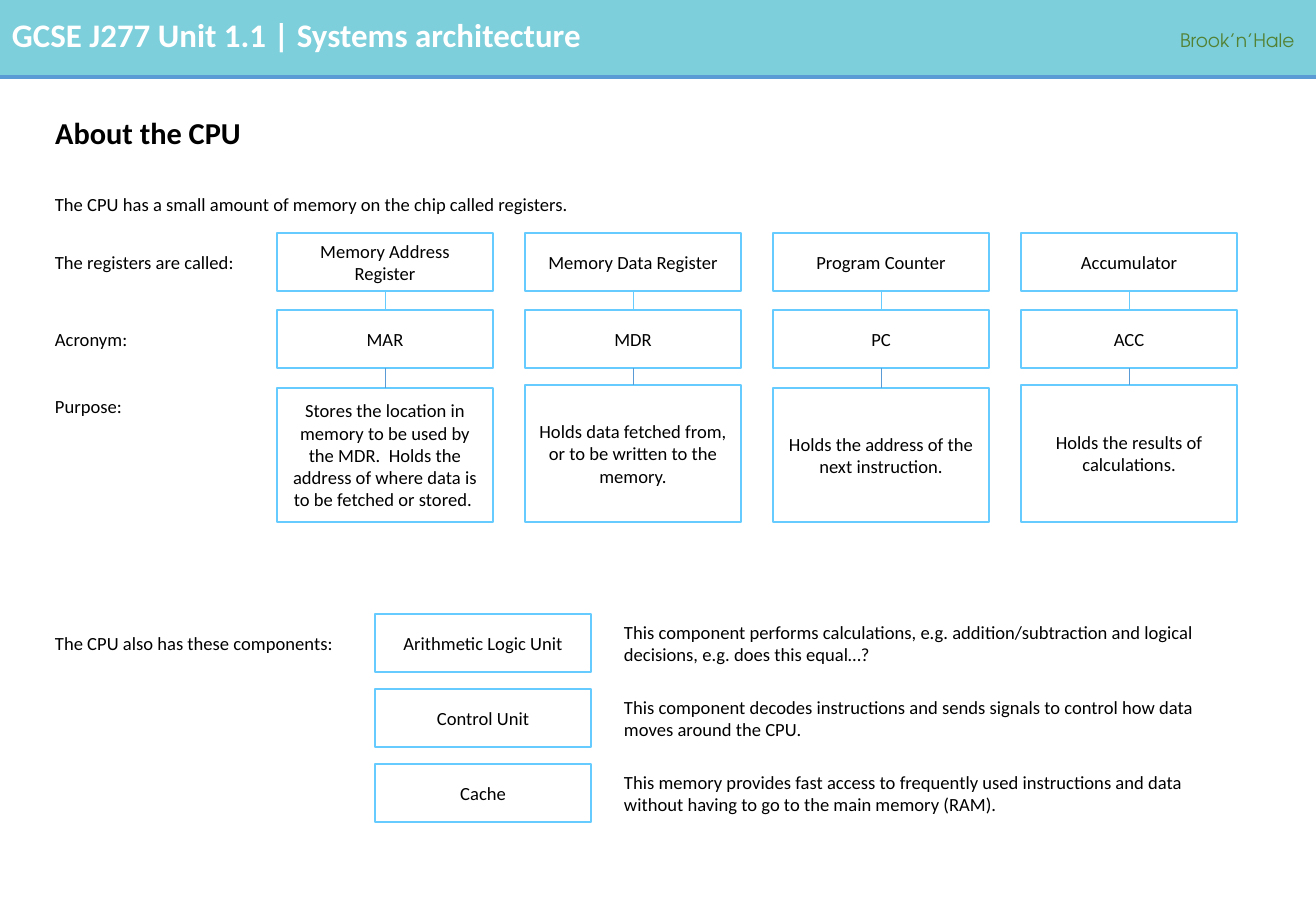
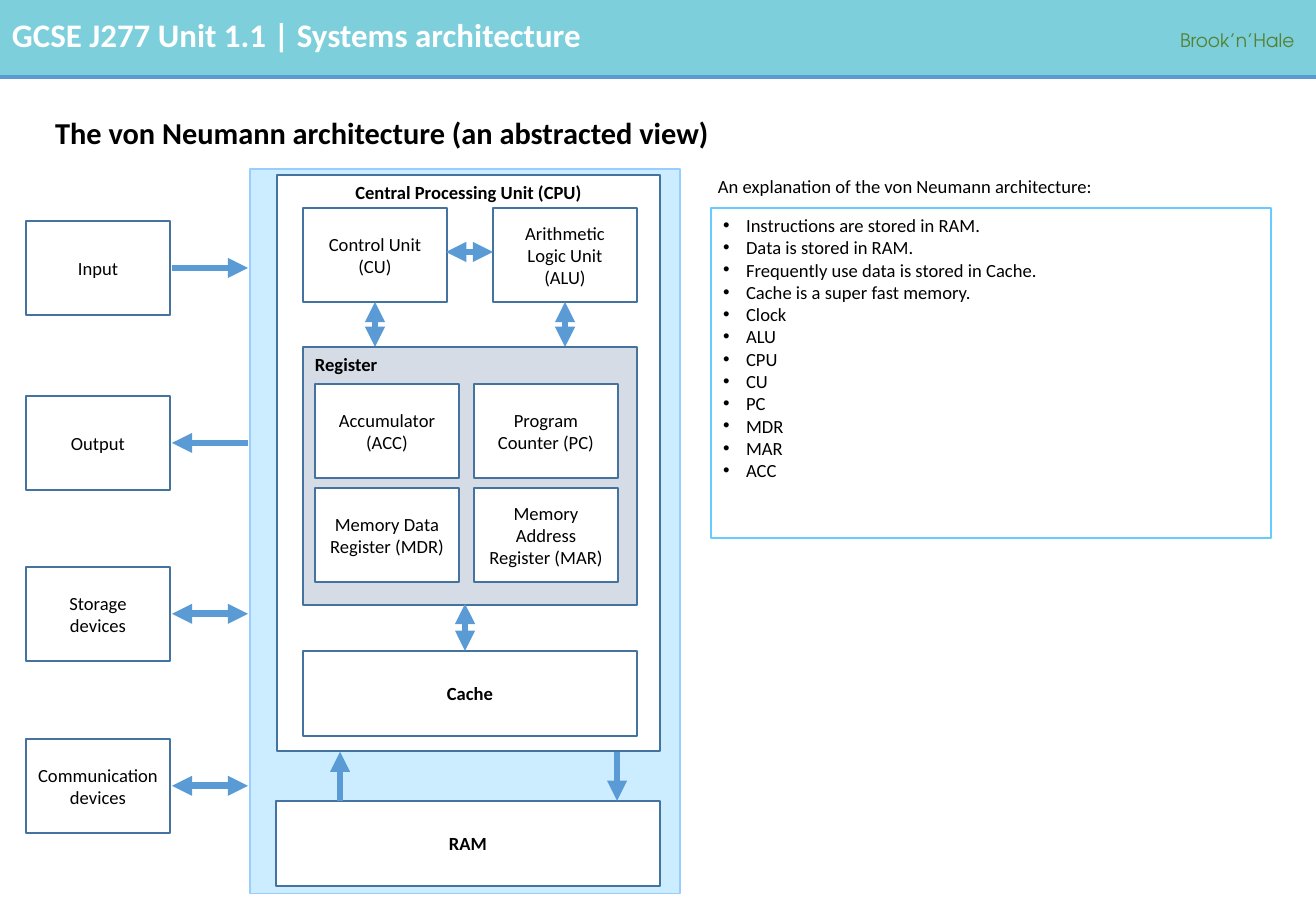
from lxml.etree import SubElement
from pptx import Presentation
from pptx.dml.color import RGBColor
from pptx.enum.shapes import MSO_CONNECTOR, MSO_SHAPE
from pptx.enum.text import MSO_ANCHOR, PP_ALIGN
from pptx.oxml.ns import qn
from pptx.util import Inches, Pt

SCALE = 914400 / 121.5
WHITE = RGBColor(0xFF, 0xFF, 0xFF)
BLACK = RGBColor(0, 0, 0)
TEAL = RGBColor(0x7C, 0xCF, 0xDB)
BLUE = RGBColor(0x5B, 0x9B, 0xD5)
SKY = RGBColor(0x66, 0xCC, 0xFF)
NAVY = RGBColor(0x43, 0x73, 0x9E)
PALE = RGBColor(0xCC, 0xEC, 0xFF)
EDGE = RGBColor(0x99, 0xCC, 0xFF)
GREY = RGBColor(0xD6, 0xDC, 0xE5)
GREEN = RGBColor(0x54, 0x82, 0x35)

REGISTERS = [
    ("Memory Address Register", "MAR", 388,
     "Stores the location in memory to be used by the MDR.  Holds the "
     "address of where data is to be fetched or stored. "),
    ("Memory Data Register", "MDR", 385,
     "Holds data fetched from, or to be written to the memory."),
    ("Program Counter", "PC", 388, "Holds the address of the next instruction."),
    ("Accumulator", "ACC", 385, "Holds the results of calculations."),
]
PARTS = [
    ("Arithmetic Logic Unit",
     "This component performs calculations, e.g. addition/subtraction and "
     "logical decisions, e.g. does this equal…?"),
    ("Control Unit",
     "This component decodes instructions and sends signals to control how "
     "data moves around the CPU."),
    ("Cache",
     "This memory provides fast access to frequently used instructions and "
     "data without having to go to the main memory (RAM)."),
]
DEVICES = [
    ("Input", 0, False, True),
    ("Output", 175, True, False),
    ("Storage\vdevices", 346, True, True),
    ("Communication devices", 518, True, True),
]
CELLS = [
    ("Accumulator (ACC)", "Program Counter (PC)"),
    ("Memory Data Register (MDR)", "Memory Address Register (MAR)"),
]
NOTES = [
    "Instructions are stored in RAM.", "Data is stored in RAM.",
    "Frequently use data is stored in Cache.", "Cache is a super fast memory.",
    "Clock", "ALU", "CPU", "CU", "PC", "MDR", "MAR", "ACC",
]


def px(*values):
    """Turn pixels into EMU."""
    return [round(value * SCALE) for value in values]


def write(frame, *lines, size=11, bold=False, color=BLACK, font="Calibri",
          align=PP_ALIGN.LEFT, anchor=MSO_ANCHOR.TOP, wrap=True,
          space=None, after=None, bullet=False):
    """Fill a text frame with one paragraph per line."""
    frame.word_wrap = wrap
    frame.vertical_anchor = anchor
    for index, line in enumerate(lines):
        para = frame.add_paragraph() if index else frame.paragraphs[0]
        para.text = line
        para.alignment = align
        if space:
            para.line_spacing = space
        if after:
            para.space_after = Pt(after)
        for run in para.runs:
            run.font.size = Pt(size)
            run.font.bold = bold
            run.font.name = font
            run.font.color.rgb = color
        if bullet:
            props = para._p.get_or_add_pPr()
            indent = px(23)[0]
            props.set("marL", str(indent))
            props.set("indent", str(-indent))
            SubElement(props, qn("a:buFont"), typeface="Arial")
            SubElement(props, qn("a:buChar"), char="•")


def label(slide, text, left, top, width, height=35, **style):
    """Add a text box."""
    area = slide.shapes.add_textbox(*px(left, top, width, height))
    write(area.text_frame, text, **style)
    return area


def box(slide, lines, left, top, width, height, fill=None, edge=NAVY,
        align=PP_ALIGN.CENTER, anchor=MSO_ANCHOR.MIDDLE, **style):
    """Add a rectangle that holds text."""
    shape = slide.shapes.add_shape(
        MSO_SHAPE.RECTANGLE, *px(left, top, width, height))
    shape.shadow.inherit = False
    if fill is None:
        shape.fill.background()
    else:
        shape.fill.solid()
        shape.fill.fore_color.rgb = fill
    if edge is None:
        shape.line.fill.background()
    else:
        shape.line.color.rgb = edge
        shape.line.width = Pt(1)
    write(shape.text_frame, *lines, align=align, anchor=anchor, **style)
    return shape


def line(slide, left, top, right, base, color=BLUE, width=4.0,
         head=False, tail=False):
    """Add a straight line with optional arrowheads."""
    link = slide.shapes.add_connector(
        MSO_CONNECTOR.STRAIGHT, *px(left, top, right, base))
    link.line.color.rgb = color
    link.line.width = Pt(width)
    props = link.element.spPr
    stroke = props.find(qn("a:ln"))
    for end, shown in (("a:headEnd", head), ("a:tailEnd", tail)):
        if shown:
            SubElement(stroke, qn(end), type="triangle")
    SubElement(props, qn("a:effectLst"))
    return link


def band(slide, layout):
    """Draw the top band and move it to the shared layout."""
    for holder in list(layout.placeholders)[1:]:
        holder.element.getparent().remove(holder.element)
    pieces = [
        box(slide, [], 0, 0, 1316, 77, fill=TEAL, edge=None),
        line(slide, 0, 77, 1316, 77, width=2.25),
        label(slide, "GCSE J277 Unit 1.1 | Systems architecture",
              0, 9, 1152, 52, size=19.5, bold=True, color=WHITE),
        label(slide, "Brook’n’Hale", 1168, 21, 148, font="TeX Gyre Adventor",
              color=GREEN, wrap=False, space=1.07, after=8),
    ]
    for piece in pieces:
        layout.shapes.element.append(piece.element)


def start(deck, layout, text):
    """Add a slide and set its title."""
    slide = deck.slides.add_slide(layout)
    title = slide.shapes.title
    title.left, title.top, title.width, title.height = px(43, 101, 1227, 68)
    write(title.text_frame, text, size=18, bold=True, space=0.9,
          anchor=MSO_ANCHOR.MIDDLE)
    return slide


def registers(slide, left, top):
    """Draw the register columns with their row labels."""
    for text, drop, width in (
            ("The CPU has a small amount of memory on the chip called registers.",
             0, 541),
            ("The registers are called:", 58, 205),
            ("Acronym:", 135, 98), ("Purpose:", 202, 92)):
        label(slide, text, left, top + drop, width, wrap=False)
    wide, high, base = 216, 58, top + 335
    name_top, short_top = top + 46, top + 123
    for index, (name, short, start_y, use) in enumerate(REGISTERS):
        x = left + 234 + 248 * index
        mid = x + wide / 2
        use_top = top + start_y - 187
        box(slide, [name], x, name_top, wide, high, edge=SKY)
        box(slide, [short], x, short_top, wide, high, edge=SKY)
        box(slide, [use], x, use_top, wide, base - use_top, edge=SKY)
        line(slide, mid, name_top + high, mid, short_top, SKY, 0.5)
        line(slide, mid, short_top + high, mid, use_top, BLUE, 0.5)


def parts(slide, left, top):
    """List the other CPU components with what they do."""
    label(slide, "The CPU also has these components:",
          left, top + 12, 304, wrap=False)
    for index, (name, use) in enumerate(PARTS):
        y = top + 75 * index
        box(slide, [name], left + 332, y, 216, 58, edge=SKY)
        label(slide, use, left + 569, y, 623, 58, anchor=MSO_ANCHOR.MIDDLE)


def system(slide, left, top):
    """Draw the CPU and RAM on their backdrop."""
    box(slide, [], left, top, 430, 725, fill=PALE, edge=EDGE)
    box(slide, ["Central Processing Unit (CPU)"], left + 27, top + 6, 383, 576,
        fill=WHITE, bold=True, anchor=MSO_ANCHOR.TOP)
    box(slide, ["RAM"], left + 26, top + 632, 384, 85, fill=WHITE, bold=True)
    line(slide, left + 367, top + 583, left + 367, top + 632, tail=True)
    line(slide, left + 90, top + 632, left + 90, top + 583, tail=True)
    inner = left + 53
    for name, x in (("Control Unit (CU)", inner),
                    ("Arithmetic Logic Unit (ALU)", inner + 190)):
        box(slide, [name], x, top + 39, 144, 94, fill=WHITE)
        line(slide, x + 72, top + 178, x + 72, top + 133, head=True, tail=True)
    line(slide, inner + 143, top + 83, inner + 190, top + 83,
         head=True, tail=True)
    box(slide, ["Register"], inner, top + 178, 334, 258, fill=GREY, bold=True,
        align=PP_ALIGN.LEFT, anchor=MSO_ANCHOR.TOP)
    for row, names in enumerate(CELLS):
        for col, name in enumerate(names):
            box(slide, [name], inner + 12 + 159 * col, top + 215 + 104 * row,
                144, 94, fill=WHITE)
    box(slide, ["Cache"], inner, top + 482, 334, 85, fill=WHITE, bold=True)
    line(slide, left + 215, top + 482, left + 215, top + 435,
         head=True, tail=True)


def devices(slide, left, top):
    """Draw the outer devices and their arrows."""
    for name, drop, head, tail in DEVICES:
        y = top + drop
        box(slide, [name], left, y, 144, 94, fill=WHITE)
        line(slide, left + 146, y + 47, left + 222, y + 47,
             head=head, tail=tail)


def notes(slide, left, top):
    """Draw the explanation and its bullet list."""
    label(slide, "An explanation of the von Neumann architecture:",
          left, top, 402, wrap=False)
    box(slide, NOTES, left + 5, top + 39, 560, 330, edge=SKY,
        align=PP_ALIGN.LEFT, anchor=MSO_ANCHOR.TOP, bullet=True)


def main():
    """Build and save the slides."""
    deck = Presentation()
    deck.slide_width, deck.slide_height = Inches(10.83), Inches(7.5)
    layout = deck.slide_layouts[5]

    about = start(deck, layout, "About the CPU")
    band(about, layout)
    registers(about, 43, 187)
    parts(about, 43, 614)

    view = start(deck, layout,
                 "The von Neumann architecture (an abstracted view)")
    system(view, 250, 169)
    devices(view, 26, 221)
    notes(view, 706, 169)
    deck.save("out.pptx")


main()
